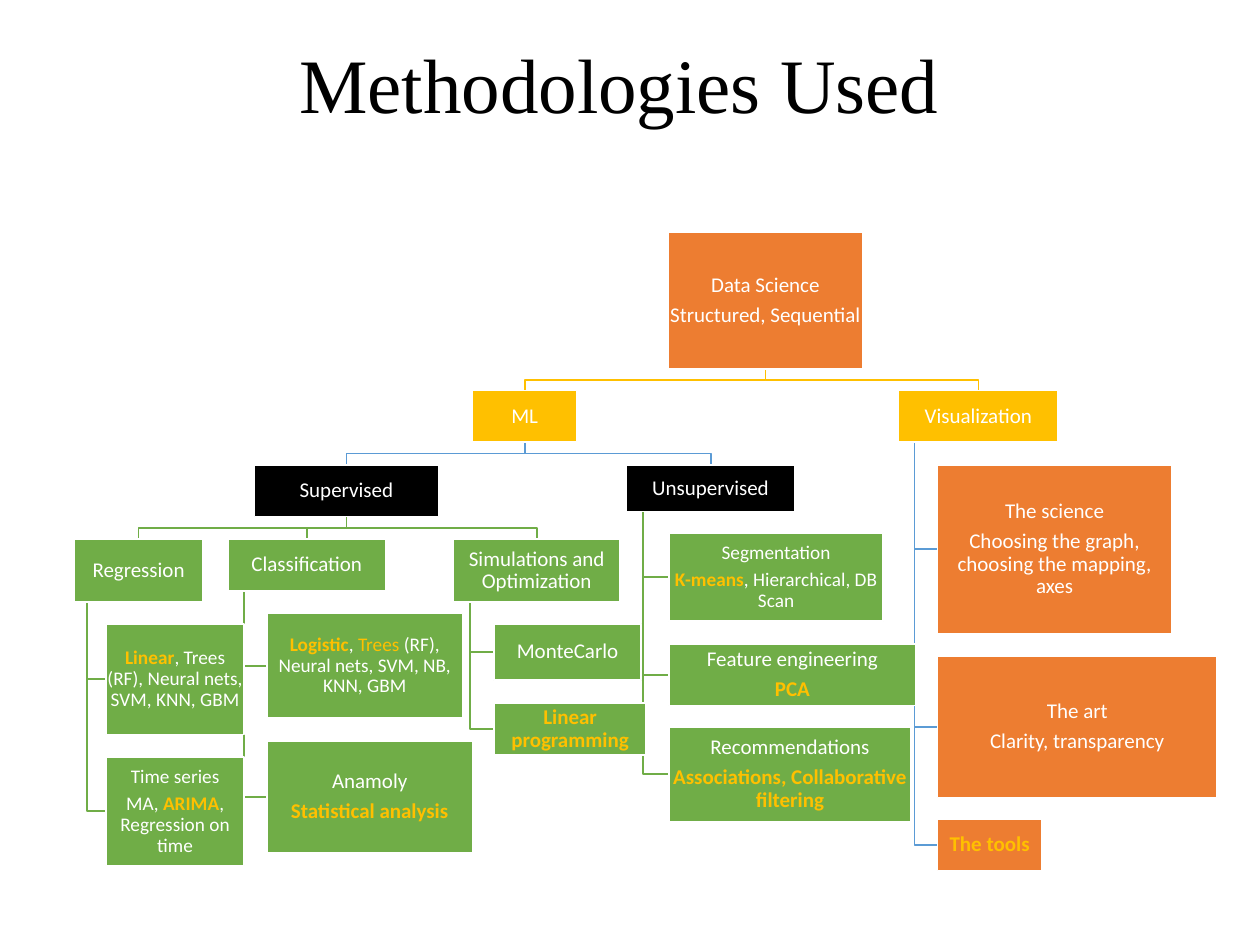
from dataclasses import dataclass, field

from pptx import Presentation
from pptx.dml.color import RGBColor as RGB
from pptx.enum.shapes import MSO_SHAPE as Shape
from pptx.enum.text import MSO_ANCHOR as Anchor, PP_ALIGN as Align
from pptx.util import Inches, Pt


@dataclass(frozen=True)
class Theme:
    """Colours, fonts and type sizes of the slide."""
    orange: str = "ED7D31"
    gold: str = "FFC000"
    green: str = "70AD47"
    blue: str = "5B9BD5"
    black: str = "000000"
    white: str = "FFFFFF"
    title_font: str = "Times New Roman"
    body_font: str = "Calibri"
    title: int = 44
    body: int = 12
    small: int = 11
    line: int = 1


@dataclass
class Node:
    """A box of the tree, with the boxes below it."""
    box: tuple
    fill: str
    lines: list
    children: list = field(default_factory=list)
    link: str = ""
    hanging: bool = False
    size: int = 12


T = Theme()


def hot(text, bold=True):
    """Mark a run as highlighted."""
    return text, {"color": T.gold, "bold": bold}


def leaf(box, *lines, fill=T.green, size=T.body):
    """Return a node without children."""
    return Node(box, fill, lines, size=size)


def branch(box, text, fill, link, children, hanging=False):
    """Return a node with children."""
    return Node(box, fill, [text], children, link, hanging)


def add_run(p, text, font=T.body_font, size=T.body, color=T.white, bold=False):
    """Add a formatted run to a paragraph."""
    r = p.add_run()
    r.text = text
    r.font.name = font
    r.font.size = Pt(size)
    r.font.bold = bold
    r.font.color.rgb = RGB.from_string(color)


def add_title(s, text):
    """Add the slide title."""
    tf = s.shapes.add_textbox(*map(Inches, (0, 0.33, 9.83, 0.75))).text_frame
    tf.word_wrap = True
    tf.vertical_anchor = Anchor.MIDDLE
    p = tf.paragraphs[0]
    p.alignment = Align.CENTER
    p.line_spacing = 0.9
    add_run(p, text, font=T.title_font, size=T.title, color=T.black)


def add_box(s, node):
    """Draw the rectangle of a node with its text."""
    sp = s.shapes.add_shape(Shape.RECTANGLE, *map(Inches, node.box))
    sp.shadow.inherit = False
    sp.fill.solid()
    sp.fill.fore_color.rgb = RGB.from_string(node.fill)
    sp.line.color.rgb = RGB.from_string(T.white)
    sp.line.width = Pt(T.line)
    tf = sp.text_frame
    tf.word_wrap = True
    tf.vertical_anchor = Anchor.MIDDLE
    tf.margin_left = tf.margin_right = Inches(0.01)
    tf.margin_top = tf.margin_bottom = Inches(0.01)
    for i, line in enumerate(node.lines):
        p = tf.add_paragraph() if i else tf.paragraphs[0]
        p.alignment = Align.CENTER
        p.line_spacing = 0.9
        p.space_after = Pt(0.35 * node.size)
        for run in line if isinstance(line, list) else [line]:
            text, fmt = run if isinstance(run, tuple) else (run, {})
            add_run(p, text, size=node.size, **fmt)


def add_link(s, parent, child):
    """Draw the bent line from a node to one of its children."""
    x, y, w, h = parent.box
    cx, cy, cw, ch = child.box
    bottom = y + h
    if parent.hanging:
        spine, middle = x + w / 10, cy + ch / 2
        points = [(spine, bottom), (spine, middle), (cx, middle)]
    else:
        start, end, bend = x + w / 2, cx + cw / 2, (bottom + cy) / 2
        points = [(start, bottom), (start, bend), (end, bend), (end, cy)]
    first, *rest = [(Inches(px), Inches(py)) for px, py in points]
    builder = s.shapes.build_freeform(*first)
    builder.add_line_segments(rest, close=False)
    sp = builder.convert_to_shape()
    sp.shadow.inherit = False
    sp.fill.background()
    sp.line.color.rgb = RGB.from_string(parent.link)
    sp.line.width = Pt(T.line)


def walk(node):
    """Yield a node and all nodes below it."""
    yield node
    for child in node.children:
        yield from walk(child)


def supervised():
    """Return the supervised learning branch."""
    regression = branch((0.59, 4.28, 1.02, 0.5), "Regression", T.green, T.green, [
        leaf((0.84, 4.95, 1.1, 0.88),
             [hot("Linear"), ", Trees (RF), Neural nets, SVM, KNN, GBM"], size=T.small),
        leaf((0.84, 6.01, 1.1, 0.86), "Time series",
             ["MA, ", hot("ARIMA"), ", Regression on time"], size=T.small),
    ], hanging=True)
    classification = branch((1.81, 4.28, 1.25, 0.41), "Classification", T.green, T.green, [
        leaf((2.12, 4.87, 1.55, 0.83),
             [hot("Logistic"), ", ", hot("Trees ", bold=False),
              "(RF), Neural nets, SVM, NB, KNN, GBM"], size=T.small),
        leaf((2.12, 5.88, 1.63, 0.89), "Anamoly", hot("Statistical analysis")),
    ], hanging=True)
    simulations = branch((3.6, 4.28, 1.32, 0.5), "Simulations and Optimization",
                         T.green, T.green, [
        leaf((3.92, 4.95, 1.17, 0.45), "MonteCarlo"),
        leaf((3.92, 5.58, 1.21, 0.41), hot("Linear programming")),
    ], hanging=True)
    return branch((2.02, 3.69, 1.46, 0.41), "Supervised", T.black, T.green,
                  [regression, classification, simulations])


def unsupervised():
    """Return the unsupervised learning branch."""
    return branch((4.97, 3.69, 1.34, 0.37), "Unsupervised", T.black, T.green, [
        leaf((5.31, 4.23, 1.7, 0.7), "Segmentation",
             [hot("K-means"), ", Hierarchical, DB Scan"], size=T.small),
        leaf((5.31, 5.11, 1.96, 0.49), "Feature engineering", hot("PCA")),
        leaf((5.31, 5.77, 1.92, 0.75), "Recommendations",
             hot("Associations, Collaborative filtering")),
    ], hanging=True)


def visualization():
    """Return the visualization branch."""
    return branch((7.13, 3.1, 1.27, 0.41), "Visualization", T.gold, T.blue, [
        leaf((7.44, 3.69, 1.86, 1.34), "The science",
             "Choosing the graph, choosing the mapping, axes", fill=T.orange),
        leaf((7.44, 5.21, 2.22, 1.12), "The art", "Clarity, transparency", fill=T.orange),
        leaf((7.44, 6.5, 0.83, 0.41), hot("The tools"), fill=T.orange),
    ], hanging=True)


def main():
    """Build the slide and save it."""
    prs = Presentation()
    prs.slide_width, prs.slide_height = Inches(10), Inches(7.5)
    s = prs.slides.add_slide(prs.slide_layouts[6])
    ml = branch((3.75, 3.1, 0.83, 0.41), "ML", T.gold, T.blue,
                [supervised(), unsupervised()])
    root = Node((5.3, 1.84, 1.55, 1.09), T.orange,
                ["Data Science", "Structured, Sequential"],
                [ml, visualization()], T.gold)
    for node in walk(root):
        for child in node.children:
            add_link(s, node, child)
    for node in walk(root):
        add_box(s, node)
    add_title(s, "Methodologies Used")
    prs.save("out.pptx")


if __name__ == "__main__":
    main()
